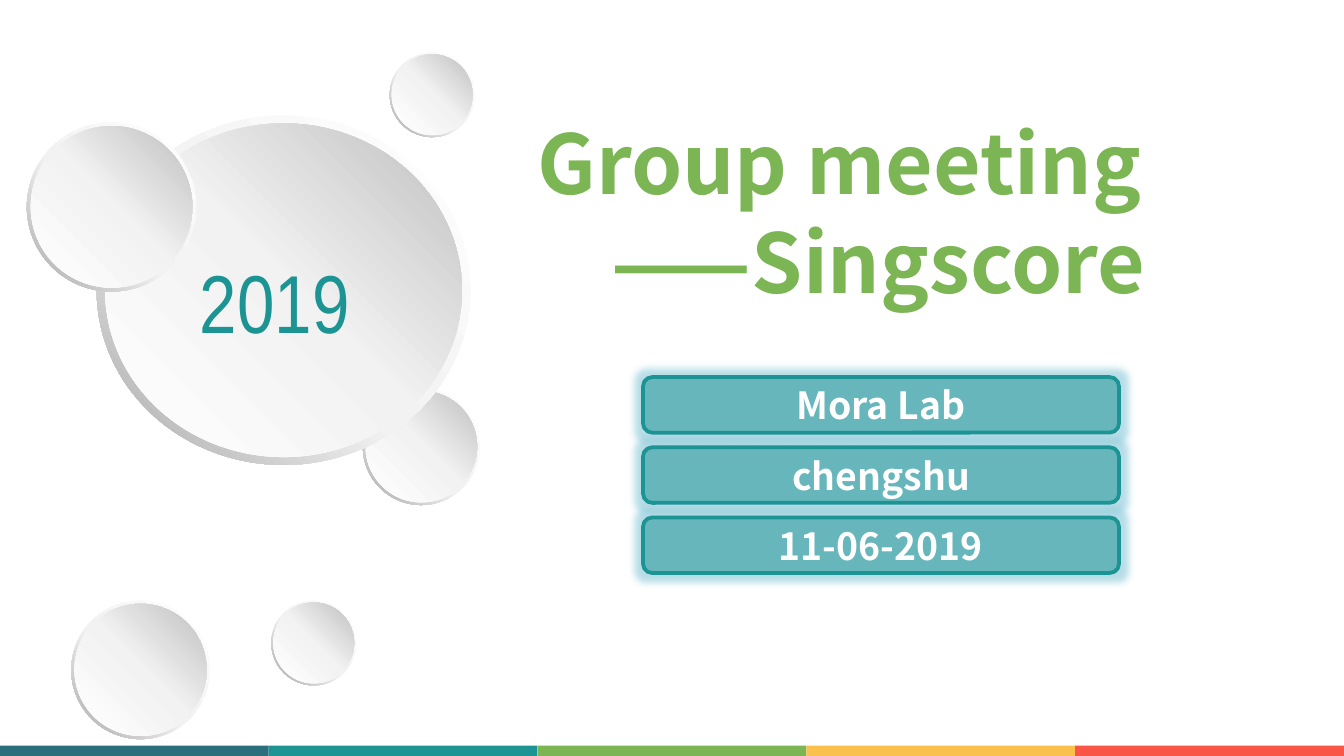
from copy import deepcopy

from lxml.etree import SubElement
from pptx import Presentation
from pptx.dml.color import RGBColor
from pptx.enum.shapes import MSO_SHAPE as SHAPE
from pptx.enum.text import MSO_ANCHOR as ANCHOR, PP_ALIGN as ALIGN
from pptx.oxml.ns import qn
from pptx.util import Pt

WHITE = RGBColor(0xFF, 0xFF, 0xFF)
PALE = RGBColor(0xF2, 0xF2, 0xF2)
SILVER = RGBColor(0xBF, 0xBF, 0xBF)
GREY = RGBColor(0xA6, 0xA6, 0xA6)
NAVY = RGBColor(0x2B, 0x6F, 0x7D)
TEAL = RGBColor(0x1C, 0x94, 0x94)
GREEN = RGBColor(0x7C, 0xB5, 0x54)
YELLOW = RGBColor(0xFA, 0xC1, 0x4D)
RED = RGBColor(0xF9, 0x56, 0x47)
GLOW = "4BACC6"

SANS = "Noto Sans CJK SC"
NARROW = "Arial Narrow"
WIDTH, HEIGHT = 720, 405

# Left, top, width, height of each bubble, back to front
SMALL_BUBBLES_BACK = [(208.8, 28.1, 45.4, 45.4), (194.4, 208, 62.6, 62.6)]
MAIN_BUBBLE = (51.8, 61.9, 200.2, 187.2)
BUBBLES_FRONT = [(14.4, 65.5, 90.7, 90.7), (38.2, 321.8, 74.2, 74.2),
                 (145.4, 321.8, 45.4, 45.4)]


def add_plain(shapes, kind, x, y, w, h):
    s = shapes.add_shape(kind, Pt(x), Pt(y), Pt(w), Pt(h))
    s.shadow.inherit = False
    s.line.fill.background()
    return s


def set_gradient(s, angle, stops):
    s.fill.gradient()
    s.fill.gradient_angle = angle
    gs_list = s._element.spPr.find(qn("a:gradFill")).find(qn("a:gsLst"))
    gs_list.append(deepcopy(gs_list[0]))
    for stop, (position, color) in zip(s.fill.gradient_stops, stops):
        stop.position = position
        stop.color.rgb = color


def add_bubble(slide, x, y, w, h):
    """A shaded rim with a disc centred in it."""
    shapes = slide.shapes.add_group_shape().shapes
    rim = add_plain(shapes, SHAPE.DONUT, x, y, w, h)
    rim.adjustments[0] = 0.049
    set_gradient(rim, 225, [(0, WHITE), (0.55, PALE), (1, GREY)])
    inset = 0.0225
    disc = add_plain(shapes, SHAPE.OVAL, x + w * inset, y + h * inset,
                     w * (1 - 2 * inset), h * (1 - 2 * inset))
    set_gradient(disc, 45, [(0, WHITE), (0.51, PALE), (1, SILVER)])


def style(p, font, size, color, bold=False):
    p.font.name = font
    p.font.size = Pt(size)
    p.font.bold = bold
    p.font.color.rgb = color
    # East Asian characters use the same font
    SubElement(p.font._element, qn("a:ea"), typeface=font)


def add_text(slide, x, y, w, h, lines, font, color, bold=False):
    tf = slide.shapes.add_textbox(Pt(x), Pt(y), Pt(w), Pt(h)).text_frame
    tf.word_wrap = True
    tf.text = "\n".join(lines)
    for p in tf.paragraphs:
        style(p, font, 44, color, bold)
    return tf


def add_label(slide, x, y, text):
    s = add_plain(slide.shapes, SHAPE.ROUNDED_RECTANGLE, x, y, 255, 29.8)
    s.fill.solid()
    s.fill.fore_color.rgb = TEAL
    s.line.color.rgb = TEAL
    s.line.width = Pt(2)
    # Translucent fill and a soft glow
    sp_pr = s._element.spPr
    fill_color = sp_pr.find(qn("a:solidFill"))[0]
    SubElement(fill_color, qn("a:alpha"), val="52000")
    glow = SubElement(sp_pr.find(qn("a:effectLst")), qn("a:glow"), rad=str(Pt(8)))
    glow_color = SubElement(glow, qn("a:srgbClr"), val=GLOW)
    SubElement(glow_color, qn("a:alpha"), val="40000")

    tf = s.text_frame
    tf.vertical_anchor = ANCHOR.MIDDLE
    tf.text = text
    p = tf.paragraphs[0]
    p.alignment = ALIGN.CENTER
    style(p, SANS, 20, WHITE, True)


def add_footer(slide):
    colors = [NAVY, TEAL, GREEN, YELLOW, RED]
    shapes = slide.shapes.add_group_shape().shapes
    w = WIDTH / len(colors)
    for i, color in enumerate(colors):
        bar = add_plain(shapes, SHAPE.RECTANGLE, i * w, 399.5, w, 5.5)
        bar.fill.solid()
        bar.fill.fore_color.rgb = color


def main():
    prs = Presentation()
    prs.slide_width, prs.slide_height = Pt(WIDTH), Pt(HEIGHT)
    slide = prs.slides.add_slide(prs.slide_layouts[6])

    # Bubbles and year
    for box in SMALL_BUBBLES_BACK + [MAIN_BUBBLE]:
        add_bubble(slide, *box)
    add_text(slide, 100, 131, 166, 60.5, ["2019"], NARROW, TEAL)
    for box in BUBBLES_FRONT:
        add_bubble(slide, *box)

    # Title, second line indented
    tf = add_text(slide, 280.8, 56.9, 380, 113.8,
                  ["Group meeting", "——Singscore"], SANS, GREEN, True)
    tf.paragraphs[1]._p.get_or_add_pPr().set("marL", str(Pt(40)))

    # Labels
    for i, text in enumerate(["Mora Lab", "chengshu", "11-06-2019"]):
        add_label(slide, 344.5, 202 + i * 37.6, text)

    add_footer(slide)
    prs.save("out.pptx")


if __name__ == "__main__":
    main()
